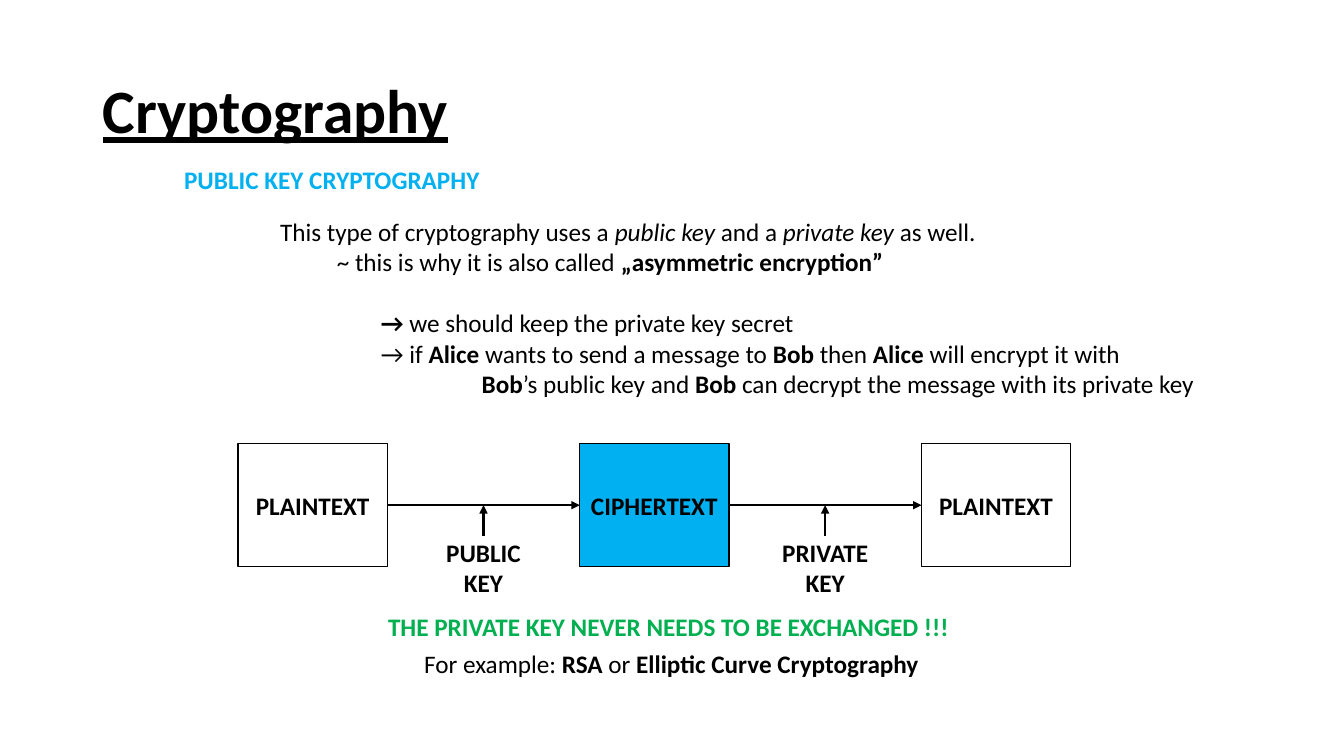
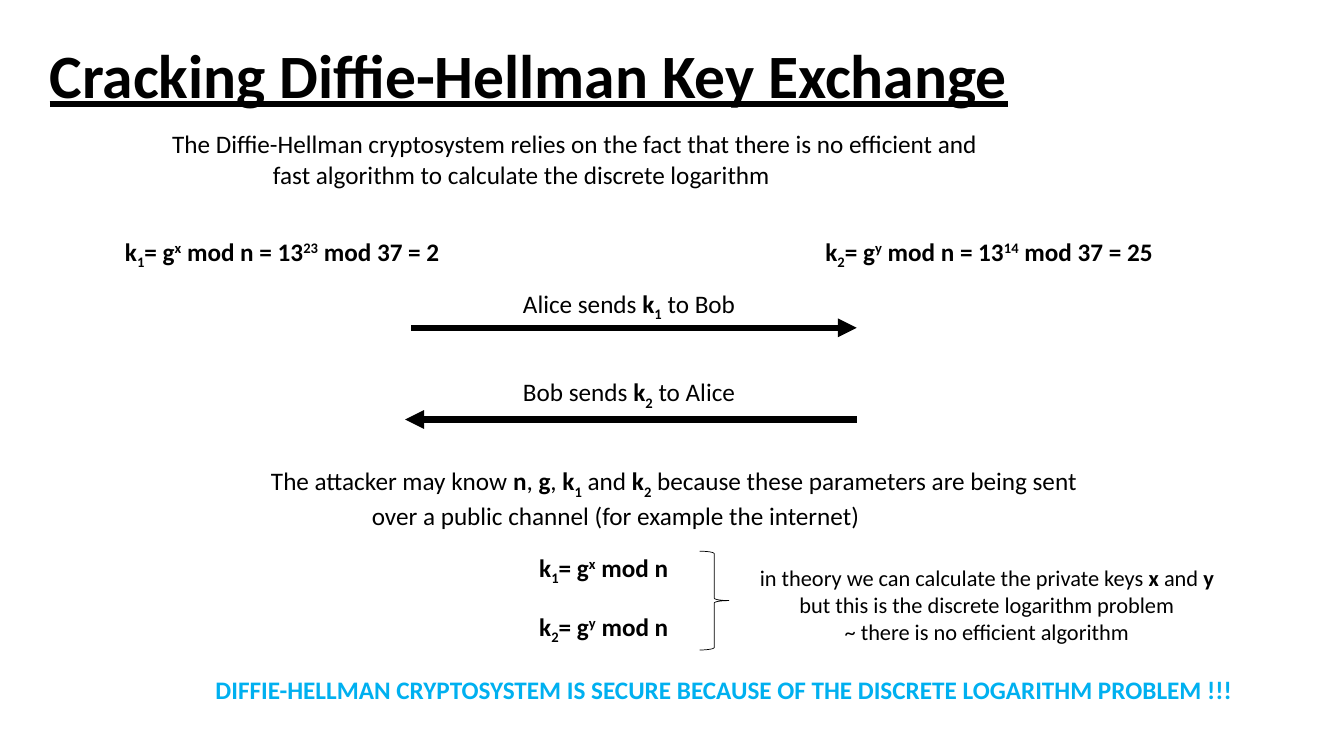
from pptx import Presentation
from pptx.dml.color import RGBColor
from pptx.enum.shapes import MSO_CONNECTOR as CONNECTOR, MSO_SHAPE as SHAPE
from pptx.enum.text import MSO_ANCHOR as ANCHOR, PP_ALIGN as ALIGN
from pptx.oxml.ns import qn
from pptx.oxml.xmlchemy import OxmlElement
from pptx.util import Cm, Pt

COLORS = {"black": "000000", "white": "FFFFFF", "blue": "00B0F0", "green": "00B050"}
TITLE_FORMAT = {"size": Pt(44), "bold": True, "underline": True}
BODY_FORMAT = {"name": "Calibri", "size": Pt(18), "bold": False}
RUN_STYLES = {
    "plain": {},
    "bold": {"bold": True},
    "italic": {"italic": True},
    "sub": {"bold": True},
    "sup": {"bold": True},
}
BASELINES = {"sub": "-25000", "sup": "30000"}
TAB = 2.54


def write_text(frame, paragraphs, color="black", align=ALIGN.LEFT, **font_format):
    """Each paragraph is (indent in cm, space before in pt, list of runs);
    a run is plain text or a (text, style) pair."""
    for index, (indent, before, runs) in enumerate(paragraphs):
        paragraph = frame.paragraphs[0] if index == 0 else frame.add_paragraph()
        paragraph.alignment = align
        if before:
            paragraph.space_before = Pt(before)
        if indent:
            paragraph._p.get_or_add_pPr().set("marL", str(Cm(indent)))
        for item in runs:
            text, style = (item, "plain") if isinstance(item, str) else item
            run = paragraph.add_run()
            run.text = text
            formats = {**BODY_FORMAT, **font_format, **RUN_STYLES[style]}
            for name, value in formats.items():
                setattr(run.font, name, value)
            run.font.color.rgb = RGBColor.from_string(COLORS[color])
            if style in BASELINES:
                run._r.get_or_add_rPr().set("baseline", BASELINES[style])


def add_arrow(slide, start, end, width):
    points = [Cm(value) for value in (*start, *end)]
    arrow = slide.shapes.add_connector(CONNECTOR.STRAIGHT, *points)
    arrow.line.width = Pt(width)
    arrow.line.color.rgb = RGBColor.from_string(COLORS["black"])
    properties = arrow._element.spPr
    head = OxmlElement("a:tailEnd")
    head.set("type", "triangle")
    properties.find(qn("a:ln")).append(head)
    properties.append(OxmlElement("a:effectLst"))


presentation = Presentation()
presentation.slide_width = Cm(33.87)
presentation.slide_height = Cm(19.05)

# Titles
slides = []
for title, left, top in [
    ("Cryptography", 2.34, 1.02),
    ("Cracking Diffie-Hellman Key Exchange", 1, 0.13),
]:
    slide = presentation.slides.add_slide(presentation.slide_layouts[6])
    frame = slide.shapes.add_textbox(Cm(left), Cm(top), Cm(29.21), Cm(3.68)).text_frame
    frame.word_wrap = True
    frame.vertical_anchor = ANCHOR.MIDDLE
    write_text(frame, [(0, 0, [title])], **TITLE_FORMAT)
    frame.paragraphs[0].line_spacing = 0.9
    slides.append(slide)
cryptography, cracking = slides

# Public key cryptography: encryption chain
box_left, box_top, box_width, box_height, box_step = 6, 11.18, 3.76, 3.1, 8.61
chain_middle = box_top + box_height / 2
chain = [("PLAINTEXT", "white"), ("CIPHERTEXT", "blue"), ("PLAINTEXT", "white")]
for index, (label, fill) in enumerate(chain):
    left = box_left + index * box_step
    shape = cryptography.shapes.add_shape(
        SHAPE.RECTANGLE, Cm(left), Cm(box_top), Cm(box_width), Cm(box_height))
    shape.shadow.inherit = False
    shape.fill.solid()
    shape.fill.fore_color.rgb = RGBColor.from_string(COLORS[fill])
    shape.line.color.rgb = RGBColor.from_string(COLORS["black"])
    shape.line.width = Pt(1)
    shape.text_frame.word_wrap = False
    shape.text_frame.vertical_anchor = ANCHOR.MIDDLE
    write_text(shape.text_frame, [(0, 0, [label])], align=ALIGN.CENTER, bold=True)

# Keys between the boxes
key_width = 3
key_texts = []
for index, key in enumerate(["PUBLIC", "PRIVATE"]):
    gap_left = box_left + index * box_step + box_width
    gap_right = box_left + (index + 1) * box_step
    key_middle = (gap_left + gap_right) / 2
    add_arrow(cryptography, (gap_left, chain_middle), (gap_right, chain_middle), 1.5)
    add_arrow(cryptography, (key_middle, 13.5), (key_middle, chain_middle), 1.5)
    key_texts.append((
        (key_middle - key_width / 2, 13.41, key_width, 1.8),
        [(0, 0, [key]), (0, 0, ["KEY"])],
        {"align": ALIGN.CENTER, "bold": True}))

# Texts of the first slide: (left, top, width, height), paragraphs, format
alice, bob = ("Alice", "bold"), ("Bob", "bold")
cryptography_texts = key_texts + [
    ((4.39, 4.01, 8.3, 1.02), [(0, 0, ["PUBLIC KEY CRYPTOGRAPHY"])],
     {"color": "blue", "bold": True}),
    ((6.81, 5.33, 24.5, 4.88), [
        (0, 0, ["This type of cryptography uses a ", ("public key ", "italic"), "and a ",
                ("private key ", "italic"), "as well."]),
        (1.43, 0, ["~ this is why it is also called ",
                   ("„asymmetric encryption”", "bold")]),
        (TAB, 22, [("→ ", "bold"), "we should keep the private key secret"]),
        (TAB, 0, ["→ if ", alice, " wants to send a message to ", bob, " then ", alice,
                  " will encrypt it with"]),
        (2 * TAB, 0, [bob, "’s public key and ", bob,
                      " can decrypt the message with its private key"]),
    ], {}),
    ((9.53, 15.27, 15.2, 1.02),
     [(0, 0, ["THE PRIVATE KEY NEVER NEEDS TO BE EXCHANGED !!!"])],
     {"color": "green", "bold": True}),
    ((10.44, 16.21, 13.8, 1.02),
     [(0, 0, ["For example: ", ("RSA ", "bold"), "or",
              (" Elliptic Curve Cryptography", "bold")])], {}),
]

# Public values, messages and equations of the second slide
k1 = [("k", "bold"), ("1", "sub")]
k2 = [("k", "bold"), ("2", "sub")]
cracking_texts = []
for index, (key, secret, exponent, result) in enumerate([
    (k1, "x", "23", "2"),
    (k2, "y", "14", "25"),
]):
    equation = key + ["= g", (secret, "sup"), " mod n"]
    value = [" = 13", (exponent, "sup"), f" mod 37 = {result}"]
    cracking_texts += [
        ((2.9 + index * 17.65, 5.82, 9.2, 1.02), [(0, 0, equation + value)],
         {"bold": True}),
        ((13.34, 13.79 + index * 1.48, 4.3, 1.02), [(0, 0, equation)], {"bold": True}),
    ]

cracking_texts += [
    ((4.09, 3.12, 21.7, 1.8), [
        (0, 0, ["The Diffie-Hellman cryptosystem relies on the fact that there is no "
                "efficient and"]),
        (TAB, 0, ["fast algorithm to calculate the discrete logarithm"]),
    ], {}),
    ((12.93, 7.14, 6.5, 1.02), [(0, 0, ["Alice sends ", *k1, " to Bob"])], {}),
    ((12.93, 9.37, 6.5, 1.02), [(0, 0, ["Bob sends ", *k2, " to Alice"])], {}),
    ((6.58, 11.61, 21.8, 1.8), [
        (0, 0, ["The attacker may know ", ("n", "bold"), ", ", ("g", "bold"), ", ", *k1,
                " and ", *k2, " because these parameters are being sent"]),
        (TAB, 0, ["over a public channel (for example the internet)"]),
    ], {}),
    ((18.62, 14.1, 12.5, 2.31), [
        (0, 0, ["in theory we can calculate the private keys ", ("x", "bold"), " and ",
                ("y", "bold")]),
        (0, 0, ["but this is the discrete logarithm problem"]),
        (0, 0, ["~ there is no efficient algorithm"]),
    ], {"align": ALIGN.CENTER, "size": Pt(16)}),
    ((5.18, 16.87, 26.7, 1.02),
     [(0, 0, ["DIFFIE-HELLMAN CRYPTOSYSTEM IS SECURE BECAUSE OF THE DISCRETE LOGARITHM "
              "PROBLEM !!!"])],
     {"color": "blue", "bold": True}),
]

# Message arrows and brace
add_arrow(cracking, (10.36, 8.26), (21.59, 8.26), 4.5)
add_arrow(cracking, (21.59, 10.57), (10.21, 10.57), 4.5)
brace = cracking.shapes.add_shape(
    SHAPE.RIGHT_BRACE, Cm(17.63), Cm(13.89), Cm(0.74), Cm(2.49))
brace.shadow.inherit = False
brace.fill.background()
brace.line.color.rgb = RGBColor.from_string(COLORS["black"])
brace.line.width = Pt(0.5)

# Text boxes of both slides
for slide, texts in [(cryptography, cryptography_texts), (cracking, cracking_texts)]:
    for box, paragraphs, text_format in texts:
        frame = slide.shapes.add_textbox(*[Cm(length) for length in box]).text_frame
        frame.word_wrap = True
        write_text(frame, paragraphs, **text_format)

presentation.save("out.pptx")
